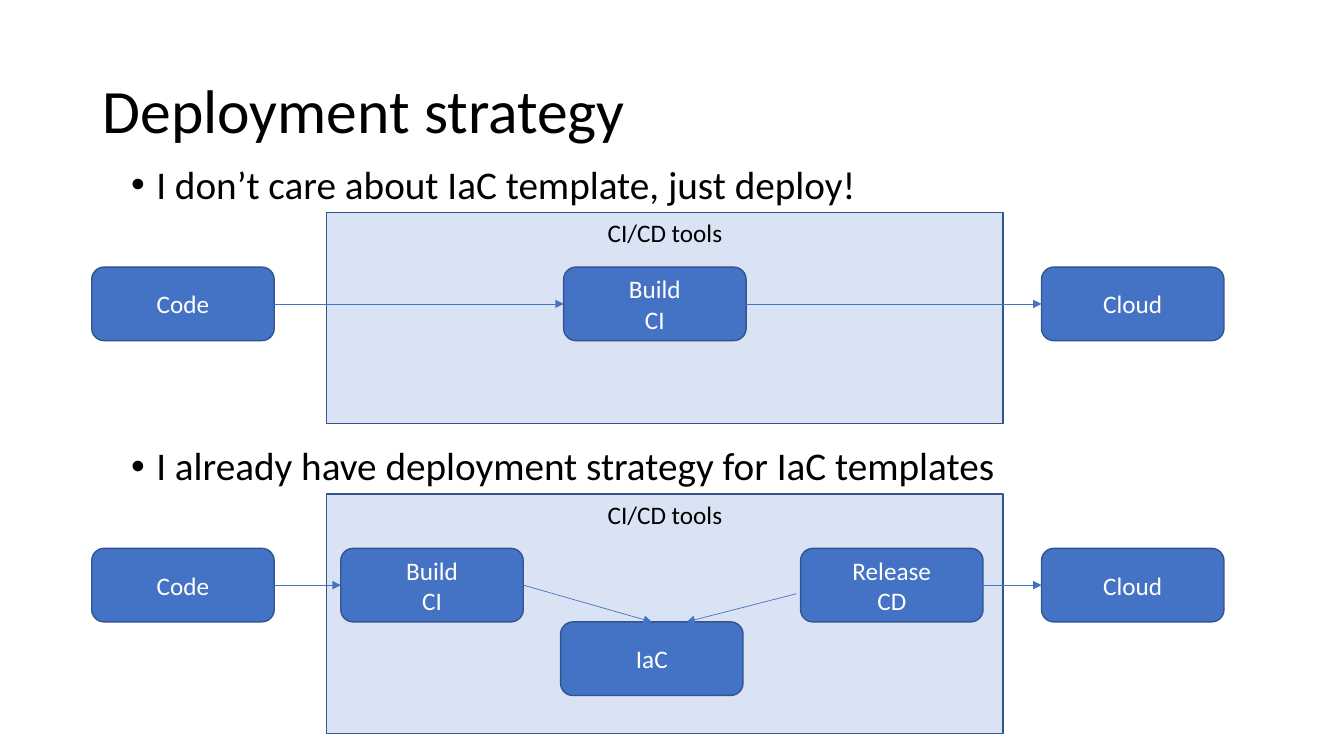
from lxml.etree import SubElement
from pptx import Presentation
from pptx.dml.color import RGBColor
from pptx.enum.shapes import MSO_CONNECTOR, MSO_SHAPE
from pptx.enum.text import MSO_ANCHOR, MSO_AUTO_SIZE, PP_ALIGN
from pptx.oxml.ns import qn
from pptx.util import Inches, Pt

BLUE, EDGE, PALE, BLACK, WHITE = "4472C4", "325491", "DAE3F3", "000000", "FFFFFF"
NODE_W, NODE_H = 1.81, 0.73
TOP, BOTTOM_ROW = 0.54, 1.27
LEFT, RIGHT = 1, 3


def rgb(value):
    """Turn a hex string into a colour."""
    return RGBColor.from_string(value)


def set_attrs(obj, formats):
    """Set each attribute named in a dict of format values."""
    for name, value in formats.items():
        setattr(obj, name, value)


def write(tf, lines, size, color, para, frame):
    """Fill a text frame with one formatted paragraph per line."""
    set_attrs(tf, {"word_wrap": True, "auto_size": MSO_AUTO_SIZE.NONE, **frame})
    for i, line in enumerate(lines):
        p = tf.add_paragraph() if i else tf.paragraphs[0]
        set_attrs(p, para)
        r = p.add_run()
        r.text = line
        set_attrs(r.font, {"name": "Calibri", "size": Pt(size)})
        r.font.color.rgb = rgb(color)


def place(sp, box):
    """Move a shape to a box given in inches."""
    set_attrs(sp, dict(zip(("left", "top", "width", "height"), map(Inches, box))))


def add_box(s, kind, box, lines, fill, color, anchor):
    """Add a filled, outlined shape with centred text."""
    sp = s.shapes.add_shape(kind, *map(Inches, box))
    sp.shadow.inherit = False
    sp.fill.solid()
    sp.fill.fore_color.rgb = rgb(fill)
    sp.line.color.rgb = rgb(EDGE)
    sp.line.width = Pt(1)
    write(sp.text_frame, lines, 18, color,
          {"alignment": PP_ALIGN.CENTER}, {"vertical_anchor": anchor})
    return sp


def add_arrow(s, start=(0, 0), end=(0, 0)):
    """Add a thin straight arrow between two points in inches."""
    c = s.shapes.add_connector(MSO_CONNECTOR.STRAIGHT, *map(Inches, (*start, *end)))
    c.line.color.rgb = rgb(BLUE)
    c.line.width = Pt(0.5)
    SubElement(c.line._get_or_add_ln(), qn("a:tailEnd"), type="triangle")
    SubElement(c._element.spPr, qn("a:effectLst"))
    return c


def join(s, source, target, target_side=LEFT):
    """Join the right side of one node to a side of another."""
    c = add_arrow(s)
    c.begin_connect(source, RIGHT)
    c.end_connect(target, target_side)


def add_pipeline(s, box, stages):
    """Draw the tools panel, its stages and the nodes on either side."""
    x, y = box[:2]
    add_box(s, MSO_SHAPE.RECTANGLE, box, ["CI/CD tools"], PALE, BLACK, MSO_ANCHOR.TOP)
    nodes = {}
    for lines, dx, dy in [(["Code"], -2.33, TOP), *stages, (["Cloud"], 7.09, TOP)]:
        nodes[lines[0]] = add_box(s, MSO_SHAPE.ROUNDED_RECTANGLE,
                                  (x + dx, y + dy, NODE_W, NODE_H),
                                  lines, BLUE, WHITE, MSO_ANCHOR.MIDDLE)
    return nodes


def add_direct(s, box):
    """Draw the pipeline that deploys straight from the build."""
    nodes = add_pipeline(s, box, [(["Build", "CI"], 2.35, TOP)])
    join(s, nodes["Code"], nodes["Build"])
    join(s, nodes["Build"], nodes["Cloud"])


def add_templated(s, box):
    """Draw the pipeline where build and release share the templates."""
    x, y = box[:2]
    nodes = add_pipeline(s, box, [(["Build", "CI"], 0.14, TOP),
                                  (["IaC"], 2.32, BOTTOM_ROW),
                                  (["Release", "CD"], 4.7, TOP)])
    join(s, nodes["Code"], nodes["Build"])
    join(s, nodes["Build"], nodes["IaC"], 0)
    add_arrow(s, (x + 4.66, y + 0.99), (x + 3.57, y + BOTTOM_ROW))
    join(s, nodes["Release"], nodes["Cloud"])


def add_title(s, box):
    """Place and fill the title."""
    sp = s.shapes.title
    place(sp, box)
    write(sp.text_frame, ["Deployment strategy"], 44, BLACK,
          {"alignment": PP_ALIGN.LEFT, "line_spacing": 0.9},
          {"vertical_anchor": MSO_ANCHOR.MIDDLE})


def add_bullets(s, box, lines, gap):
    """Place the list, with its second point a fixed gap below the first."""
    sp = s.placeholders[1]
    place(sp, box)
    tf = sp.text_frame
    write(tf, lines, 28, BLACK, {"line_spacing": 0.9, "space_before": Pt(10)},
          {"vertical_anchor": MSO_ANCHOR.TOP})
    for p in tf.paragraphs:
        pPr = p._p.get_or_add_pPr()
        pPr.set("marL", str(Inches(0.25)))
        pPr.set("indent", str(Inches(-0.25)))
    tf.paragraphs[1].space_before = Pt(gap)


def main():
    """Build the slide and save it."""
    prs = Presentation()
    set_attrs(prs, {"slide_width": Inches(13.33), "slide_height": Inches(7.5)})
    s = prs.slides.add_slide(prs.slide_layouts[1])
    add_title(s, (0.92, 0.4, 11.5, 1.45))
    add_bullets(s, (1.2, 1.59, 11.22, 5.91),
                ["I don’t care about IaC template, just deploy!",
                 "I already have deployment strategy for IaC templates"], 171)
    add_direct(s, (3.24, 2.11, 6.71, 2.09))
    add_templated(s, (3.24, 4.9, 6.71, 2.38))
    prs.save("out.pptx")


if __name__ == "__main__":
    main()
